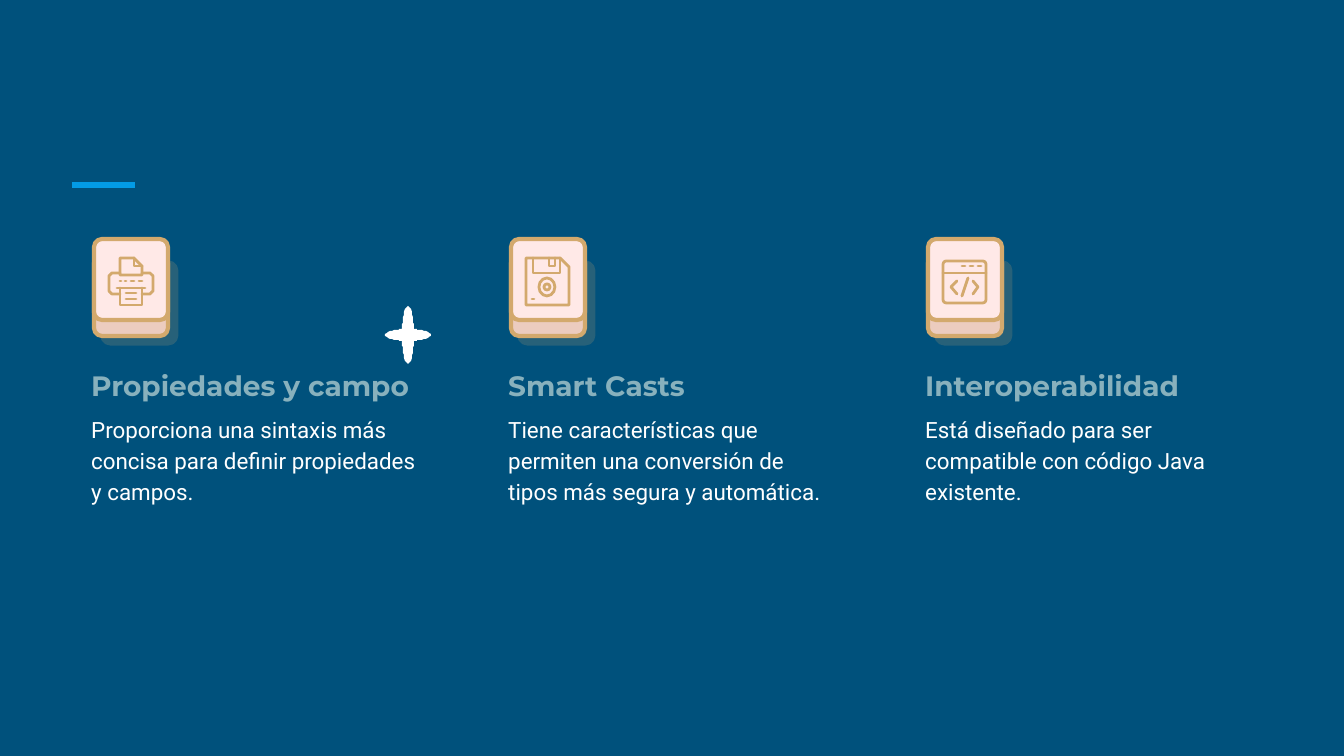
from dataclasses import dataclass
from math import cos, hypot, pi, sin
from typing import Any

from lxml.etree import SubElement
from pptx import Presentation
from pptx.dml.color import RGBColor
from pptx.enum.shapes import MSO_CONNECTOR as Conn, MSO_SHAPE as Shape
from pptx.enum.text import MSO_ANCHOR as Anchor
from pptx.oxml.ns import qn
from pptx.util import Emu, Pt

SCALE = 914400 / 134.4
TAN, ROSE, PINK = "D3A96D", "ECCCBF", "FFE9E7"
LEFT, PITCH = 78, 417

Points = tuple[tuple[int, int], ...]
Box = tuple[int, int, int, int]


@dataclass(frozen=True)
class Icon:
    """Strokes, ovals and rounded frames inside one icon."""
    strokes: tuple[Points, ...]
    ovals: tuple[Box, ...] = ()
    frames: tuple[Box, ...] = ()


@dataclass(frozen=True)
class Feature:
    """One column of the slide."""
    heading: str
    body: str
    icon: Icon
    heading_width: int = 354


PRINTER = Icon((
    ((12, 18), (12, 1), (26, 1), (34, 9), (34, 18), (12, 18)),
    ((26, 1), (26, 9), (34, 9)),
    ((12, 16), (4, 16), (1, 19), (1, 34), (4, 37), (12, 37)),
    ((34, 16), (42, 16), (45, 19), (45, 34), (42, 37), (34, 37)),
    ((12, 31), (12, 48), (34, 48), (34, 31)),
    ((9, 31), (37, 31)),
    ((18, 36), (28, 36)), ((18, 42), (28, 42)),
    ((12, 24), (13, 24)), ((17, 24), (18, 24)),
    ((23, 24), (26, 24)), ((31, 24), (34, 24)),
))
FLOPPY = Icon((
    ((1, 1), (35, 1), (44, 10), (44, 48), (1, 48), (1, 1)),
    ((8, 1), (8, 16), (35, 16), (35, 1)),
    ((24, 1), (24, 9), (30, 9), (30, 1)),
    ((7, 42), (9, 42)),
), ovals=((14, 21, 16, 18), (19, 27, 6, 6)))
BROWSER = Icon((
    ((1, 16), (44, 16)),
    ((15, 24), (9, 30), (15, 37)),
    ((31, 24), (36, 30), (31, 37)),
    ((26, 21), (20, 39)),
    ((20, 9), (23, 9)), ((28, 9), (31, 9)), ((36, 9), (39, 9)),
), frames=((1, 4, 43, 42),))

FEATURES = (
    Feature("Propiedades y campo",
            "Proporciona una sintaxis más concisa para definir propiedades y campos.",
            PRINTER, 378),
    Feature("Smart Casts",
            "Tiene características que permiten una conversión de tipos más segura y automática.",
            FLOPPY),
    Feature("Interoperabilidad",
            "Está diseñado para ser compatible con código Java existente.", BROWSER),
)


def px(n: float) -> Emu:
    """Turn pixels into EMU."""
    return Emu(round(n * SCALE))


def rgb(value: str) -> RGBColor:
    """Turn a hex string into a colour."""
    return RGBColor.from_string(value)


def style_line(obj: Any, color: str, width: float, cap: str = "flat") -> None:
    """Set the line of a shape or connector."""
    obj.line.color.rgb = rgb(color)
    obj.line.width = Pt(width)
    obj.element.spPr.find(qn("a:ln")).set("cap", cap)


def add_line(shapes: Any, start: tuple[int, int], end: tuple[int, int],
             color: str, width: float, cap: str = "flat") -> None:
    """Draw a straight connector without a shadow."""
    c = shapes.add_connector(Conn.STRAIGHT, *map(px, (*start, *end)))
    style_line(c, color, width, cap)
    SubElement(c.element.spPr, qn("a:effectLst"))


def add_outline(shapes: Any, kind: Shape, box: Box, width: float,
                fill: str | None = None, radius: float | None = None) -> Any:
    """Draw a tan-lined preset shape with an optional fill."""
    sp = shapes.add_shape(kind, *map(px, box))
    sp.shadow.inherit = False
    if radius is not None:
        sp.adjustments[0] = radius
    if fill:
        sp.fill.solid()
        sp.fill.fore_color.rgb = rgb(fill)
    else:
        sp.fill.background()
    style_line(sp, TAN, width)
    return sp


def add_drop_shadow(sp: Any) -> None:
    """Give a shape a hard, translucent tan shadow."""
    shadow = SubElement(sp.element.spPr.find(qn("a:effectLst")), qn("a:outerShdw"),
                        blurRad="0", dist=str(Pt(6)), dir=str(42 * 60000),
                        algn="bl", rotWithShape="0")
    color = SubElement(shadow, qn("a:srgbClr"), val=TAN)
    SubElement(color, qn("a:alpha"), val="18000")


def add_key(shapes: Any, x: int) -> None:
    """Draw a keycap: a shadowed base and a lighter top."""
    g = shapes.add_group_shape().shapes
    add_drop_shadow(add_outline(g, Shape.ROUNDED_RECTANGLE, (x, 255, 74, 81), 2.25, ROSE, 0.11))
    add_outline(g, Shape.ROUNDED_RECTANGLE, (x, 239, 74, 81), 2.25, PINK, 0.11)


def add_icon(shapes: Any, icon: Icon, x: int, y: int) -> None:
    """Draw an icon with its corner at x, y."""
    g = shapes.add_group_shape().shapes
    for left, top, w, h in icon.frames:
        add_outline(g, Shape.ROUNDED_RECTANGLE, (x + left, y + top, w, h), 1.5, radius=0.08)
    for left, top, w, h in icon.ovals:
        add_outline(g, Shape.OVAL, (x + left, y + top, w, h), 1.5)
    for pts in icon.strokes:
        if len(pts) == 2:
            start, end = ((x + a, y + b) for a, b in pts)
            add_line(g, start, end, TAN, 1.5, "rnd")
            continue
        fb = g.build_freeform(*pts[0], scale=SCALE)
        fb.add_line_segments(pts[1:], close=False)
        sp = fb.convert_to_shape(px(x), px(y))
        sp.shadow.inherit = False
        sp.fill.background()
        style_line(sp, TAN, 1.5, "rnd")


def add_star(shapes: Any, x: int, y: int) -> None:
    """Draw a white star as the union of two crossed ellipses."""
    pts = []
    for i in range(120):
        c, s = cos(i * pi / 60), sin(i * pi / 60)
        r = max(1 / hypot(c / 23, s / 6), 1 / hypot(c / 6, s / 29))
        pts.append((r * c, r * s))
    fb = shapes.build_freeform(*pts[0], scale=SCALE)
    fb.add_line_segments(pts[1:])
    sp = fb.convert_to_shape(px(x), px(y))
    sp.shadow.inherit = False
    sp.fill.solid()
    sp.fill.fore_color.rgb = rgb("FFFFFF")
    sp.line.fill.background()


def add_text(shapes: Any, text: str, box: Box, *, size: int, font: str, color: str,
             bold: bool = False, anchor: Anchor = Anchor.TOP,
             spacing: float = 1.0, after: int = 0) -> None:
    """Add a wrapped text box with one paragraph."""
    tf = shapes.add_textbox(*map(px, box)).text_frame
    tf.word_wrap = True
    tf.vertical_anchor = anchor
    tf.margin_left = tf.margin_right = tf.margin_top = tf.margin_bottom = Pt(7.2)
    p = tf.paragraphs[0]
    p.line_spacing, p.space_after = spacing, Pt(after)
    r = p.add_run()
    r.text = text
    r.font.size, r.font.name, r.font.bold = Pt(size), font, bold
    r.font.color.rgb = rgb(color)


def main() -> None:
    """Build and save the slide."""
    prs = Presentation()
    prs.slide_width, prs.slide_height = px(1344), px(756)
    s = prs.slides.add_slide(prs.slide_layouts[6])
    s.background.fill.solid()
    s.background.fill.fore_color.rgb = rgb("00517C")
    add_line(s.shapes, (72, 185), (135, 185), "039BE5", 3)
    for i, f in enumerate(FEATURES):
        x = LEFT + i * PITCH
        add_key(s.shapes, x + 16)
        add_text(s.shapes, f.body, (x, 399, 355, 116), size=12, font="Roboto",
                 color="FFFFFF", spacing=1.15, after=16)
        add_text(s.shapes, f.heading, (x, 333, f.heading_width, 83), size=15,
                 font="Montserrat", color="88B1BD", bold=True, anchor=Anchor.BOTTOM)
        add_icon(s.shapes, f.icon, x + 30, 257)
    add_star(s.shapes, 408, 335)
    prs.save("out.pptx")


if __name__ == "__main__":
    main()
